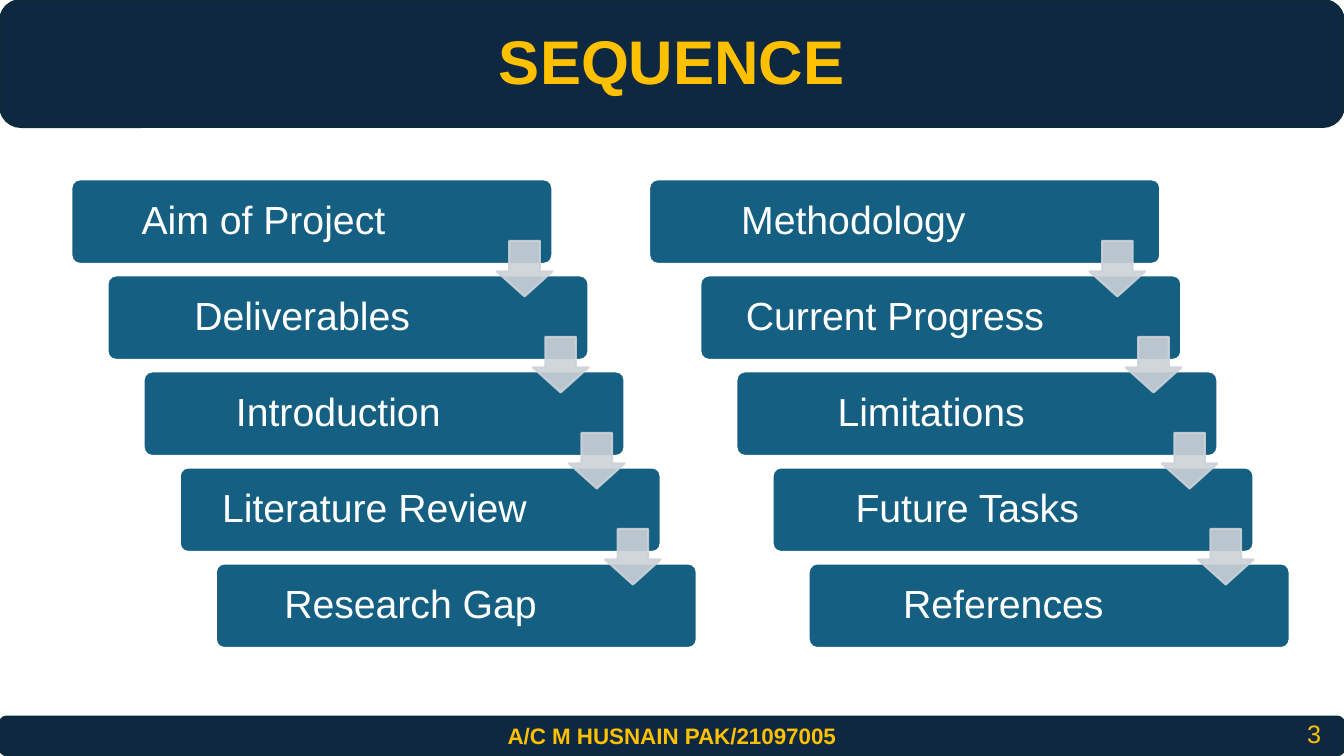
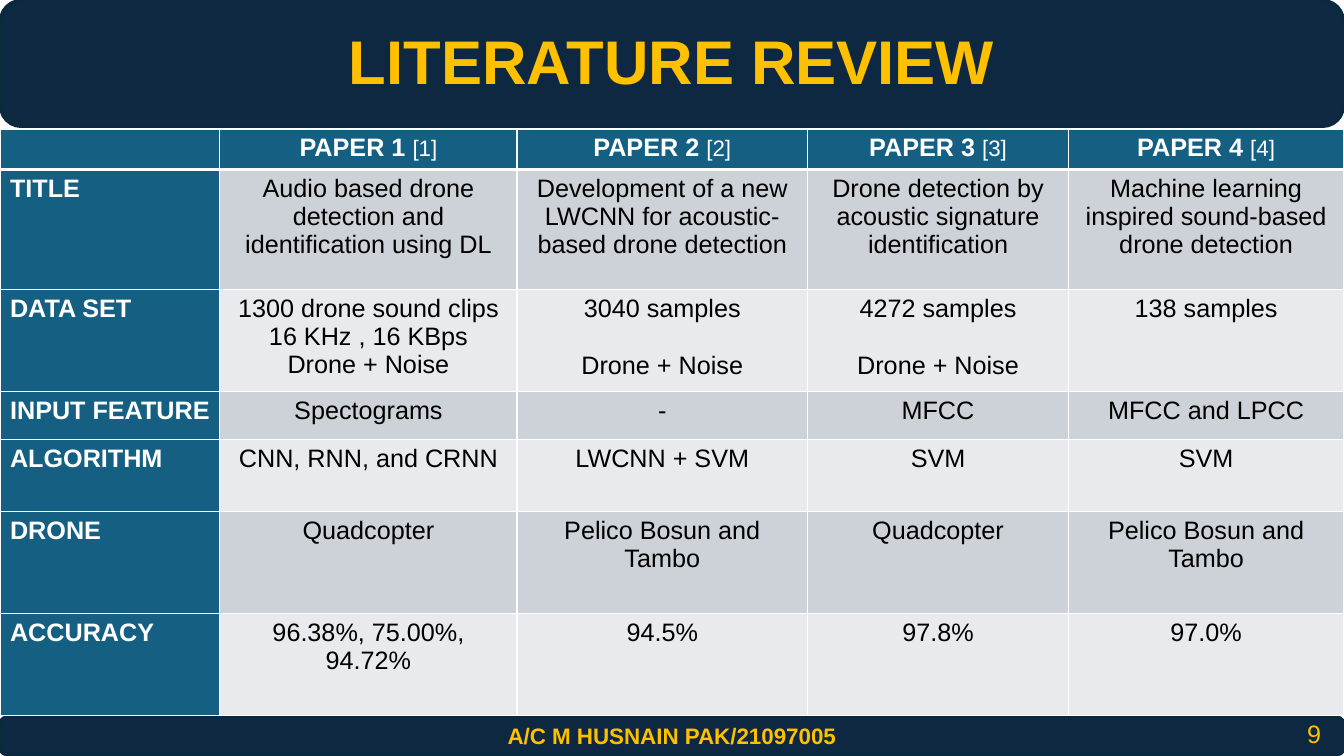
from itertools import product

from lxml.etree import SubElement
from pptx import Presentation
from pptx.dml.color import RGBColor
from pptx.enum.shapes import MSO_SHAPE
from pptx.enum.text import MSO_ANCHOR, PP_ALIGN
from pptx.oxml.ns import qn
from pptx.util import Cm, Pt

NAVY = RGBColor(0x0E, 0x28, 0x41)
NAVY_EDGE = RGBColor(0x09, 0x2A, 0x39)
GOLD = RGBColor(0xFF, 0xC0, 0x00)
TEAL = RGBColor(0x15, 0x60, 0x82)
GREY = RGBColor(0xCC, 0xD2, 0xD8)
PALE = RGBColor(0xE8, 0xEA, 0xED)
WHITE = RGBColor(0xFF, 0xFF, 0xFF)
BLACK = RGBColor(0x00, 0x00, 0x00)

SLIDE_W, SLIDE_H = 33.87, 19.05
AUTHOR = "A/C M HUSNAIN PAK/21097005"

TITLE_FONT = {"size": Pt(44), "bold": True, "color": GOLD}
FOOTER_FONT = {"size": Pt(16), "bold": True, "color": GOLD}
NUMBER_FONT = {"size": Pt(18), "color": GOLD}
STEP_FONT = {"size": Pt(28), "color": WHITE}
HEADING_FONT = {"size": Pt(18), "bold": True, "color": WHITE}
CITATION_FONT = {"size": Pt(16), "bold": False, "color": WHITE}
BODY_FONT = {"size": Pt(18), "bold": False, "color": BLACK}

# The first step of a staircase may be wider and have its own right margin.
STAIRCASES = [
    {"left": 1.8, "extra_width": 0, "first_margin": 2.74,
     "steps": ["Aim of Project", "Deliverables", "Introduction",
               "Literature Review", "Research Gap"]},
    {"left": 16.74, "extra_width": 0.76, "first_margin": 2.89,
     "steps": ["Methodology", "Current Progress", "Limitations",
               "Future Tasks", "References"]},
]
STEP_TOP, STEP_W, STEP_H = 4.52, 12.12, 2.13
STEP_DX, STEP_DY = 0.91, 2.42
STEP_MARGINS = {"left": 0.3, "right": 2.61}
ARROW_DX, ARROW_DY, ARROW_SIZE = 10.72, 1.55, 1.4

PAPERS = [("PAPER 1 ", "[1]"), ("PAPER 2 ", "[2]"),
          ("PAPER 3 ", "[3]"), ("PAPER 4 ", "[4]")]
REVIEW = [
    ("TITLE", ["Audio based drone detection and identification using DL",
               "Development of a new LWCNN for acoustic-based drone detection",
               "Drone detection by acoustic signature identification",
               "Machine learning inspired sound-based drone detection"]),
    ("DATA SET", ["1300 drone sound clips\n16 KHz , 16 KBps\nDrone + Noise",
                  "3040 samples\nDrone + Noise",
                  "4272 samples\nDrone + Noise",
                  "138 samples"]),
    ("INPUT FEATURE", ["Spectograms", "-", "MFCC", "MFCC and LPCC"]),
    ("ALGORITHM", ["CNN, RNN, and CRNN", "LWCNN + SVM", "SVM", "SVM"]),
    ("DRONE", ["Quadcopter", "Pelico Bosun and Tambo",
               "Quadcopter", "Pelico Bosun and Tambo"]),
    ("ACCURACY", ["96.38%, 75.00%, 94.72%", "94.5%", "97.8%", "97.0%"]),
]
COLUMN_WIDTHS = [5.54, 7.49, 7.32, 6.58, 6.93]
ROW_HEIGHTS = [1.02, 3.02, 2.57, 1.22, 1.8, 2.57, 2.57]
TABLE_TOP = 3.25
LINE_HEIGHT = Pt(20.7)


def write(paragraph, text, style, align=PP_ALIGN.CENTER):
    paragraph.alignment = align
    run = paragraph.add_run()
    run.text = text
    run.font.name = "Arial"
    for name, value in style.items():
        if name == "color":
            run.font.color.rgb = value
        else:
            setattr(run.font, name, value)


def add_panel(slide, kind, box, fill, edge, adjustments=()):
    panel = slide.shapes.add_shape(kind, *map(Cm, box))
    panel.shadow.inherit = False
    panel.fill.solid()
    panel.fill.fore_color.rgb = fill
    panel.line.color.rgb = edge
    panel.line.width = Pt(1.5)
    for index, value in enumerate(adjustments):
        panel.adjustments[index] = value
    return panel


def add_label(slide, box, text, style, align=PP_ALIGN.CENTER):
    frame = slide.shapes.add_textbox(*map(Cm, box)).text_frame
    frame.word_wrap = True
    write(frame.paragraphs[0], text, style, align)


def add_framed_slide(prs, title, number):
    """Add a slide with the title band, footer band and page number."""
    slide = prs.slides.add_slide(prs.slide_layouts[6])
    add_panel(slide, MSO_SHAPE.ROUNDED_RECTANGLE, (0, 0, SLIDE_W, 3.2), NAVY, NAVY_EDGE)
    footer = add_panel(slide, MSO_SHAPE.ROUNDED_RECTANGLE,
                       (0, 18.06, SLIDE_W, 0.97), NAVY, NAVY_EDGE)
    footer.text_frame.vertical_anchor = MSO_ANCHOR.MIDDLE
    write(footer.text_frame.paragraphs[0], AUTHOR, FOOTER_FONT)
    add_label(slide, (32.69, 17.98, 1.17, 1.02), number, NUMBER_FONT, PP_ALIGN.LEFT)
    add_label(slide, (0, 0.46, SLIDE_W, 2.13), title, TITLE_FONT)
    return slide


def add_step(slide, box, text, right_margin):
    step = add_panel(slide, MSO_SHAPE.ROUNDED_RECTANGLE, box, TEAL, WHITE, [0.1])
    frame = step.text_frame
    frame.word_wrap = True
    frame.vertical_anchor = MSO_ANCHOR.MIDDLE
    frame.margin_left = Cm(STEP_MARGINS["left"])
    frame.margin_right = Cm(right_margin)
    write(frame.paragraphs[0], text, STEP_FONT)
    frame.paragraphs[0].line_spacing = 0.9


def add_arrow(slide, left, top):
    arrow = add_panel(slide, MSO_SHAPE.DOWN_ARROW, (left, top, ARROW_SIZE, ARROW_SIZE),
                      GREY, GREY, [0.55, 0.45])
    for color in arrow.element.spPr.iter(qn("a:srgbClr")):
        SubElement(color, qn("a:alpha"), val="90000")


def add_staircase(slide, left, extra_width, first_margin, steps):
    corners = [(left + i * STEP_DX, STEP_TOP + i * STEP_DY) for i in range(len(steps))]
    for i, (text, (x, y)) in enumerate(zip(steps, corners)):
        extra = 0 if i else extra_width
        margin = STEP_MARGINS["right"] if i else first_margin
        add_step(slide, (x - extra / 2, y, STEP_W + extra, STEP_H), text, margin)
    for x, y in corners[:-1]:
        add_arrow(slide, x + ARROW_DX, y + ARROW_DY)


def paint_cell(cell, fill, top=1, bottom=1):
    """Fill a cell and give it white borders, widths in points."""
    properties = cell._tc.get_or_add_tcPr()
    for side, width in {"L": 1, "R": 1, "T": top, "B": bottom}.items():
        border = SubElement(properties, qn(f"a:ln{side}"), w=str(Pt(width)))
        solid = SubElement(border, qn("a:solidFill"))
        SubElement(solid, qn("a:srgbClr"), val=str(WHITE))
    cell.fill.solid()
    cell.fill.fore_color.rgb = fill


def write_finding(cell, finding, row_lines):
    """Write the lines of a cell, with the last one level with its row's last."""
    lines = finding.split("\n")
    frame = cell.text_frame
    for i, line in enumerate(lines):
        paragraph = frame.add_paragraph() if i else frame.paragraphs[0]
        write(paragraph, line, BODY_FONT)
    if len(lines) > 1:
        paragraph.space_before = LINE_HEIGHT * (row_lines - len(lines))


def add_review_table(slide):
    rows, columns = len(ROW_HEIGHTS), len(COLUMN_WIDTHS)
    table = slide.shapes.add_table(rows, columns, Cm(0), Cm(TABLE_TOP),
                                   Cm(sum(COLUMN_WIDTHS)), Cm(sum(ROW_HEIGHTS))).table
    table.first_row = table.horz_banding = False
    for column, width in zip(table.columns, COLUMN_WIDTHS):
        column.width = Cm(width)
    for row, height in zip(table.rows, ROW_HEIGHTS):
        row.height = Cm(height)
    for r, c in product(range(rows), range(columns)):
        band = GREY if r % 2 else PALE
        paint_cell(table.cell(r, c), band if r and c else TEAL,
                   top=3 if r == 1 else 1, bottom=1 if r else 3)

    for c, (paper, citation) in enumerate(PAPERS, 1):
        heading = table.cell(0, c).text_frame.paragraphs[0]
        write(heading, paper, HEADING_FONT)
        write(heading, citation, CITATION_FONT)
    for r, (aspect, findings) in enumerate(REVIEW, 1):
        write(table.cell(r, 0).text_frame.paragraphs[0], aspect, HEADING_FONT, PP_ALIGN.LEFT)
        row_lines = max(finding.count("\n") + 1 for finding in findings)
        for c, finding in enumerate(findings, 1):
            write_finding(table.cell(r, c), finding, row_lines)


def main():
    prs = Presentation()
    prs.slide_width, prs.slide_height = Cm(SLIDE_W), Cm(SLIDE_H)
    sequence = add_framed_slide(prs, "SEQUENCE", "3")
    for staircase in STAIRCASES:
        add_staircase(sequence, **staircase)
    add_review_table(add_framed_slide(prs, "LITERATURE REVIEW", "9"))
    prs.save("out.pptx")


if __name__ == "__main__":
    main()
